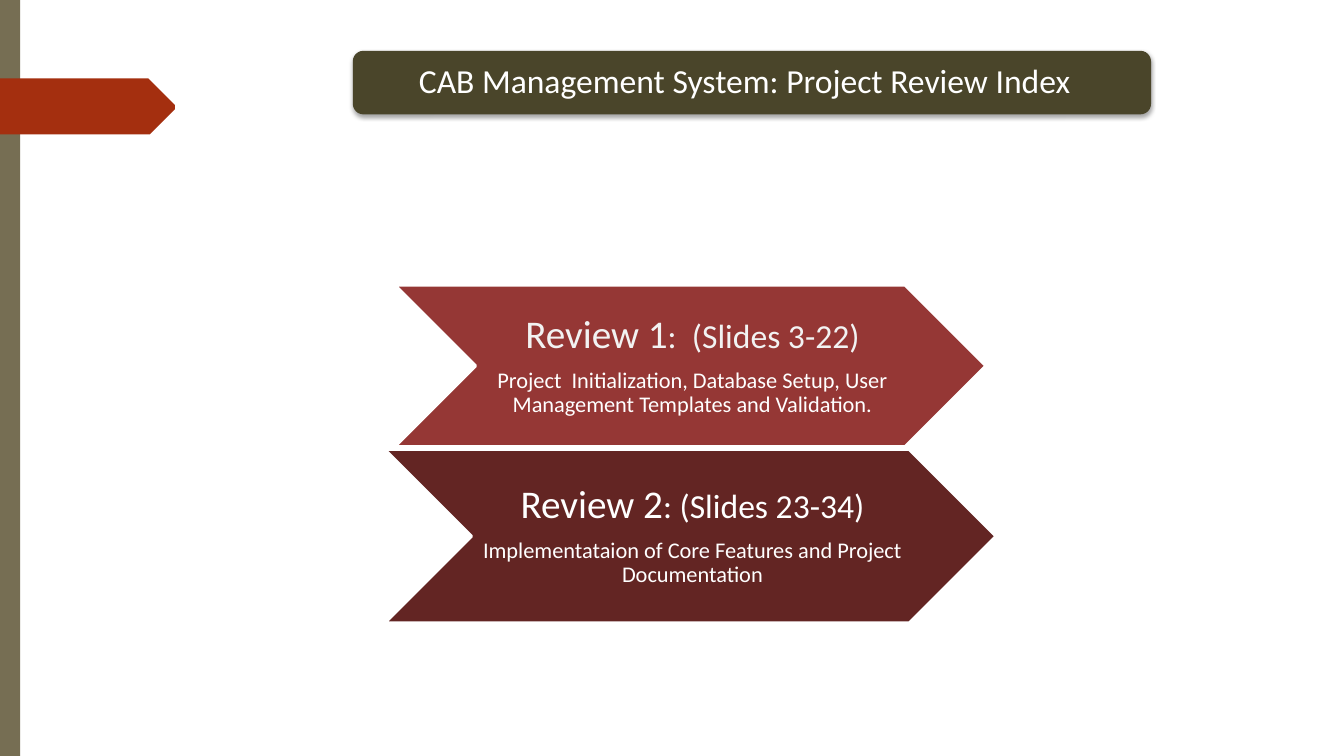
from lxml import etree
from pptx import Presentation
from pptx import util as u
from pptx.dml import color
from pptx.enum import shapes, text
from pptx.oxml import ns

COLOURS = {
    "strip": "766E53", "tag": "A42F0F", "title": "4A452A",
    "review 1": "953735", "review 2": "632523",
    "white": "FFFFFF", "pale": "F2F2F2", "shadow": "000000",
}
FONT = "Calibri"
CHEVRON_CENTRE = 493.2
TAG_POINTS = [(0, 56.2), (106, 56.2), (107, 57), (124.6, 74.9), (125.3, 76.3),
              (124.6, 77.8), (107, 95.8), (106, 96.5), (98, 96.5), (0, 95.8)]
REVIEWS = [
    {"name": "Review 1", "slides": ":  (Slides 3-22)", "heading": "pale",
     "summary": "Project  Initialization, Database Setup, User Management Templates and Validation.",
     "top": 203.8, "width": 421.9, "height": 115.2},
    {"name": "Review 2", "slides": ": (Slides 23-34)", "heading": "white",
     "summary": "Implementataion of Core Features and Project Documentation",
     "top": 321.1, "width": 436.3, "height": 123.8},
]


def rgb(name):
    """Return the named colour."""
    return color.RGBColor.from_string(COLOURS[name])


def apply(target, values):
    """Set each attribute in a dict of format values."""
    for key, value in values.items():
        setattr(target, key, value)


def paint(shape, fill, line=None):
    """Give a shape a flat fill, an optional outline and no shadow."""
    shape.shadow.inherit = False
    shape.fill.solid()
    shape.fill.fore_color.rgb = rgb(fill)
    if line:
        shape.line.color.rgb = rgb(line)
        shape.line.width = u.Pt(2)
    else:
        shape.line.fill.background()


def add_block(page, kind, place, fill, line=None):
    """Add a painted preset shape at a place in points."""
    shape = page.shapes.add_shape(kind, *map(u.Pt, place))
    paint(shape, fill, line)
    return shape


def add_tag(page):
    """Draw the pointed tag on the left edge."""
    builder = page.shapes.build_freeform(*TAG_POINTS[0], scale=u.Pt(1))
    builder.add_line_segments(TAG_POINTS[1:], close=True)
    paint(builder.convert_to_shape(), "tag")


def add_soft_shadow(shape):
    """Drop a soft shadow below a shape."""
    effects = shape._element.spPr.find(ns.qn("a:effectLst"))
    shadow = etree.SubElement(effects, ns.qn("a:outerShdw"), blurRad=str(u.Pt(3.1)),
                              dist=str(u.Pt(1.8)), dir="5400000", rotWithShape="0")
    tint = etree.SubElement(shadow, ns.qn("a:srgbClr"), val=COLOURS["shadow"])
    etree.SubElement(tint, ns.qn("a:alpha"), val="35000")


def add_text(page, place, insets, align, paragraphs):
    """Add a middle-anchored text box; spans are (words, size, colour)."""
    frame = page.shapes.add_textbox(*map(u.Pt, place)).text_frame
    left, top, right, bottom = map(u.Pt, insets)
    apply(frame, {"word_wrap": True, "vertical_anchor": text.MSO_ANCHOR.MIDDLE,
                  "margin_left": left, "margin_top": top,
                  "margin_right": right, "margin_bottom": bottom})
    for index, spans in enumerate(paragraphs):
        para = frame.add_paragraph() if index else frame.paragraphs[0]
        is_last = index == len(paragraphs) - 1
        apply(para, {"alignment": align, "line_spacing": 0.9,
                     "space_after": u.Pt(0 if is_last else 8.4)})
        for words, size, colour in spans:
            span = para.add_run()
            span.text = words
            apply(span.font, {"name": FONT, "size": u.Pt(size)})
            span.font.color.rgb = rgb(colour)


def add_review(page, review):
    """Add a chevron with the heading and summary of one review."""
    top, width, height = review["top"], review["width"], review["height"]
    left = CHEVRON_CENTRE - width / 2
    add_block(page, shapes.MSO_SHAPE.CHEVRON, (left, top, width, height),
              review["name"].lower(), "white")
    heading = [(review["name"], 28, review["heading"]),
               (review["slides"], 24, review["heading"])]
    add_text(page, (left + height / 2, top, width - height, height), (2.9, 1.4, 0, 1.4),
             text.PP_ALIGN.CENTER, [heading, [(review["summary"], 16, "white")]])


def add_title(page, words):
    """Add the rounded title bar with its text."""
    bar = add_block(page, shapes.MSO_SHAPE.ROUNDED_RECTANGLE, (252, 36.3, 570.2, 45.4), "title")
    add_soft_shadow(bar)
    add_text(page, (254.2, 38.5, 565.9, 41), (45, 7.2, 7.2, 7.2),
             text.PP_ALIGN.LEFT, [[(words, 24, "white")]])


def main():
    """Build the slide and save it."""
    deck = Presentation()
    apply(deck, {"slide_width": u.Pt(960), "slide_height": u.Pt(540)})
    page = deck.slides.add_slide(deck.slide_layouts[6])
    add_block(page, shapes.MSO_SHAPE.RECTANGLE, (0, 0, 14.4, 540), "strip")
    add_tag(page)
    for review in REVIEWS:
        add_review(page, review)
    add_title(page, "CAB Management System: Project Review Index")
    deck.save("out.pptx")


if __name__ == "__main__":
    main()
